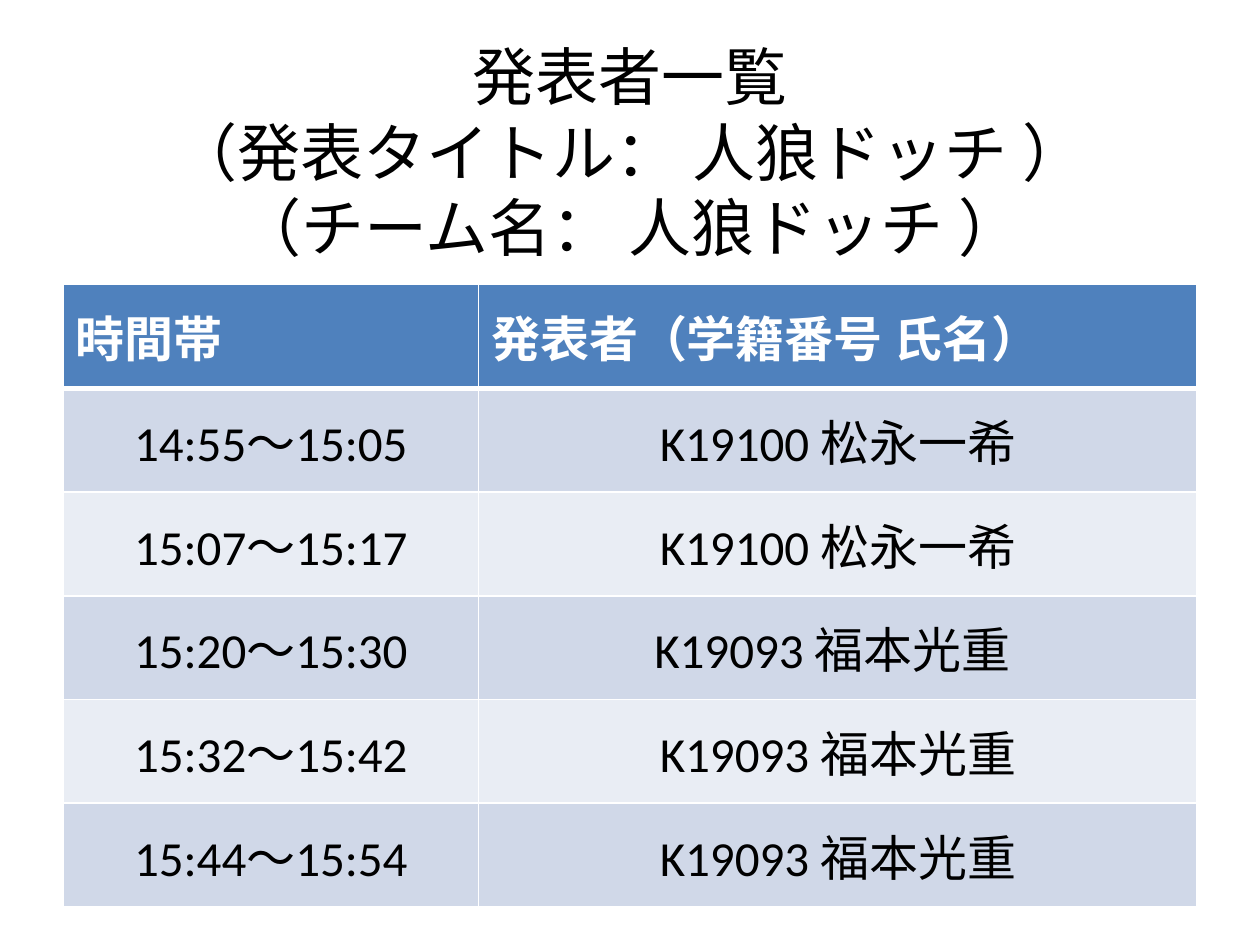
"""Build the presenter schedule slide."""
import lxml.etree
import pptx
import pptx.dml.color
import pptx.enum.text
import pptx.oxml.ns
import pptx.util

Cm = pptx.util.Cm
Pt = pptx.util.Pt
RGBColor = pptx.dml.color.RGBColor
ALIGN = pptx.enum.text.PP_ALIGN
MIDDLE = pptx.enum.text.MSO_ANCHOR.MIDDLE
qn = pptx.oxml.ns.qn

BLACK = RGBColor(0x00, 0x00, 0x00)
WHITE = RGBColor(0xFF, 0xFF, 0xFF)
HEADER_BLUE = RGBColor(0x4F, 0x81, 0xBD)
BANDS = (RGBColor(0xD0, 0xD8, 0xE8), RGBColor(0xE9, 0xED, 0xF4))

TITLE_LINES = ("発表者一覧", "（発表タイトル： 人狼ドッチ ）", "（チーム名： 人狼ドッチ ）")
SCHEDULE = (
    ("時間帯", "発表者（学籍番号 氏名）"),
    ("14:55〜15:05", "K19100 松永一希"),
    ("15:07〜15:17", "K19100 松永一希"),
    ("15:20〜15:30", "K19093 福本光重 "),
    ("15:32〜15:42", "K19093 福本光重"),
    ("15:44〜15:54", "K19093 福本光重"),
)


class SlideBuilder:
    """Hold the text style and the current slide."""

    font_name = "Calibri"
    title_size = Pt(36)
    table_size = Pt(28)

    def __init__(self, slide):
        self.slide = slide

    def add_run(self, paragraph, text, size, color, bold=False):
        run = paragraph.add_run()
        run.text = text
        font = run.font
        font.name, font.size, font.bold = self.font_name, size, bold
        font.color.rgb = color

    def add_title(self, lines, left, top, width, height):
        frame = self.slide.shapes.add_textbox(left, top, width, height).text_frame
        frame.word_wrap = True
        frame.vertical_anchor = MIDDLE
        paragraph = frame.paragraphs[0]
        paragraph.alignment = ALIGN.CENTER
        for index, line in enumerate(lines):
            if index:
                paragraph.add_line_break()
            self.add_run(paragraph, line, self.title_size, BLACK)

    def add_borders(self, cell, top, bottom):
        properties = cell._tc.get_or_add_tcPr()
        for side, width in (("L", 1), ("R", 1), ("T", top), ("B", bottom)):
            line = lxml.etree.SubElement(properties, qn(f"a:ln{side}"), w=str(Pt(width)))
            fill = lxml.etree.SubElement(line, qn("a:solidFill"))
            lxml.etree.SubElement(fill, qn("a:srgbClr"), val=str(WHITE))

    def add_table(self, rows, left, top, column_widths, row_height):
        shape = self.slide.shapes.add_table(
            len(rows), len(column_widths), left, top,
            sum(column_widths), row_height * len(rows))
        table = shape.table
        for column, width in zip(table.columns, column_widths):
            column.width = width
        for row_index, texts in enumerate(rows):
            header = row_index == 0
            table.rows[row_index].height = row_height
            for column_index, text in enumerate(texts):
                cell = table.cell(row_index, column_index)
                cell.vertical_anchor = MIDDLE
                self.add_borders(cell, 3 if row_index == 1 else 1, 3 if header else 1)
                cell.fill.solid()
                cell.fill.fore_color.rgb = HEADER_BLUE if header else BANDS[(row_index - 1) % 2]
                paragraph = cell.text_frame.paragraphs[0]
                paragraph.alignment = ALIGN.LEFT if header else ALIGN.CENTER
                self.add_run(paragraph, text, self.table_size,
                             WHITE if header else BLACK, header)


def main():
    presentation = pptx.Presentation()
    presentation.slide_width, presentation.slide_height = Cm(25.4), Cm(19.05)
    builder = SlideBuilder(presentation.slides.add_slide(presentation.slide_layouts[6]))
    builder.add_title(TITLE_LINES, Cm(1.27), Cm(0.76), Cm(22.86), Cm(4.57))
    builder.add_table(SCHEDULE, Cm(1.27), Cm(5.74), (Cm(8.38), Cm(14.48)), Cm(2.09))
    presentation.save("out.pptx")


if __name__ == "__main__":
    main()
